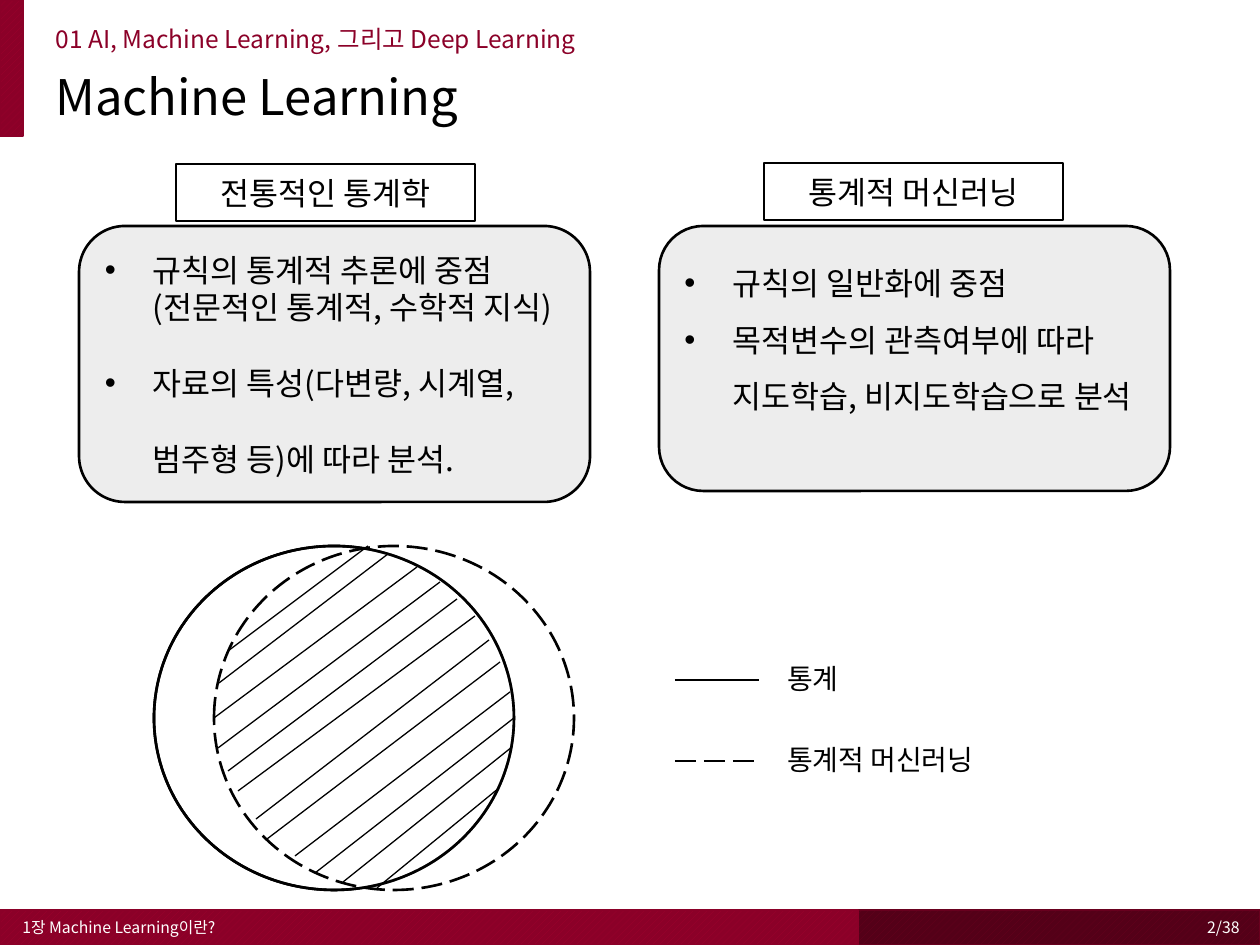
"""Build the slide comparing classical statistics with statistical machine learning."""
from dataclasses import dataclass

from lxml.etree import SubElement
from pptx import Presentation
from pptx.dml.color import RGBColor
from pptx.enum.dml import MSO_LINE, MSO_PATTERN
from pptx.enum.shapes import MSO_CONNECTOR, MSO_SHAPE
from pptx.enum.text import MSO_ANCHOR, MSO_AUTO_SIZE, PP_ALIGN
from pptx.oxml.ns import qn
from pptx.util import Pt


@dataclass(frozen=True)
class Theme:
    font: str = "Noto Sans CJK KR"
    ink: str = "000000"
    paper: str = "FFFFFF"
    panel: str = "EDEDED"
    crimson: str = "8B0028"
    crimson_light: str = "9E002D"
    maroon: str = "540018"
    maroon_light: str = "68001E"
    title: int = 28
    body: int = 18
    legend: int = 16
    section: int = 14
    footer: int = 9
    thin: float = 0.75
    frame: float = 1
    outline: float = 1.5


def emu(px):
    return round(px * 914400 / 126)


def color(code):
    return RGBColor.from_string(code)


class SlideBuilder:
    def __init__(self, slide, theme):
        self.slide = slide
        self.theme = theme

    def fill_text(self, shape, lines, size, ink, align=PP_ALIGN.LEFT,
                  anchor=MSO_ANCHOR.MIDDLE, spacing=None, before=None, bullet=None):
        frame = shape.text_frame
        frame.text = "\n".join(lines)
        frame.word_wrap = True
        frame.auto_size = MSO_AUTO_SIZE.NONE
        frame.vertical_anchor = anchor
        for index, paragraph in enumerate(frame.paragraphs):
            paragraph.alignment = align
            if spacing:
                paragraph.line_spacing = spacing[index]
            if before is not None:
                paragraph.space_before = Pt(before)
            properties = paragraph._p.get_or_add_pPr()
            indent = emu(48) if bullet else 0
            properties.set("marL", str(indent))
            properties.set("indent", str(-indent))
            if bullet:
                SubElement(properties, qn("a:buFont"), typeface="Arial")
                SubElement(properties, qn("a:buChar"), char=bullet)
            else:
                SubElement(properties, qn("a:buNone"))
            for run in paragraph.runs:
                run.font.size = Pt(size)
                run.font.name = self.theme.font
                run.font.color.rgb = color(ink)
                SubElement(run._r.get_or_add_rPr(), qn("a:ea"), typeface=self.theme.font)

    def heading(self, placeholder, box, text, size, ink):
        (placeholder.left, placeholder.top,
         placeholder.width, placeholder.height) = map(emu, box)
        self.fill_text(placeholder, [text], size, ink, anchor=MSO_ANCHOR.TOP,
                       spacing=[0.9], before=7.5)

    def shape(self, kind, box, fill, width, line=None, dash=None, opacity=None):
        shape = self.slide.shapes.add_shape(kind, *map(emu, box))
        shape.shadow.inherit = False
        if fill:
            shape.fill.solid()
            shape.fill.fore_color.rgb = color(fill)
        else:
            shape.fill.background()
        if opacity:
            fill_color = shape._element.spPr.find(qn("a:solidFill"))[0]
            SubElement(fill_color, qn("a:alpha"), val=str(opacity * 1000))
        shape.line.color.rgb = color(line or self.theme.ink)
        shape.line.width = Pt(width)
        if dash:
            shape.line.dash_style = dash
        return shape

    def bar(self, box, light, dark, line):
        bar = self.shape(MSO_SHAPE.RECTANGLE, box, dark, self.theme.frame, line)
        bar.fill.patterned()
        bar.fill.pattern = MSO_PATTERN.WIDE_UPWARD_DIAGONAL
        bar.fill.fore_color.rgb = color(light)
        bar.fill.back_color.rgb = color(dark)

    def label(self, box, text):
        label = self.shape(MSO_SHAPE.RECTANGLE, box, self.theme.paper, self.theme.frame)
        self.fill_text(label, [text], self.theme.body, self.theme.ink, PP_ALIGN.CENTER)

    def panel(self, box, points, spacing, bottom=6):
        panel = self.shape(MSO_SHAPE.ROUNDED_RECTANGLE, box, self.theme.panel,
                           self.theme.outline)
        self.fill_text(panel, points, self.theme.body, self.theme.ink,
                       spacing=spacing, bullet="•")
        panel.text_frame.margin_bottom = emu(bottom)

    def circle(self, left, fill=None, dash=None):
        self.shape(MSO_SHAPE.OVAL, (left, 546, 360, 344), fill, self.theme.outline,
                   dash=dash, opacity=50 if fill else None)

    def line(self, ends, width, dash=None):
        line = self.slide.shapes.add_connector(MSO_CONNECTOR.STRAIGHT, *map(emu, ends))
        line.line.color.rgb = color(self.theme.ink)
        line.line.width = Pt(width)
        if dash:
            line.line.dash_style = dash
        SubElement(line._element.spPr, qn("a:effectLst"))

    def text(self, box, text, size, ink, align=PP_ALIGN.LEFT, anchor=MSO_ANCHOR.MIDDLE):
        self.fill_text(self.slide.shapes.add_textbox(*map(emu, box)), [text],
                       size, ink, align, anchor)


def main():
    theme = Theme()
    deck = Presentation()
    deck.slide_width, deck.slide_height = emu(1260), emu(945)
    slide = deck.slides.add_slide(deck.slide_layouts[1])
    builder = SlideBuilder(slide, theme)

    builder.bar((842, 910, 418, 35), theme.maroon_light, theme.maroon, theme.maroon_light)
    for box in ((0, 910, 858, 35), (0, 0, 23, 136)):
        builder.bar(box, theme.crimson_light, theme.crimson, theme.crimson)

    builder.heading(slide.shapes.title, (43, 67, 1163, 71), "Machine Learning",
                    theme.title, theme.ink)
    builder.heading(slide.placeholders[1], (43, 21, 1163, 33),
                    "01 AI, Machine Learning, 그리고 Deep Learning",
                    theme.section, theme.crimson)
    builder.text((10, 910, 426, 35), "1장 Machine Learning이란?", theme.footer, theme.paper)
    builder.text((968, 910, 284, 35), "2/38", theme.footer, theme.paper, PP_ALIGN.RIGHT)

    builder.panel((79, 226, 511, 276),
                  ["규칙의 통계적 추론에 중점(전문적인 통계적, 수학적 지식)",
                   "자료의 특성(다변량, 시계열, 범주형 등)에 따라 분석."], [1.0, 2.0])
    builder.panel((659, 226, 511, 265),
                  ["규칙의 일반화에 중점",
                   "목적변수의 관측여부에 따라 지도학습, 비지도학습으로 분석"],
                  [1.5, 1.5], bottom=63)
    builder.label((176, 164, 299, 57), "전통적인 통계학")
    builder.label((764, 163, 299, 57), "통계적 머신러닝")

    builder.circle(154, theme.paper)
    builder.circle(214, theme.paper, MSO_LINE.LONG_DASH)
    builder.circle(154)
    overlap_hatching = (
        (228, 651, 368, 546), (219, 683, 388, 554), (214, 718, 417, 567),
        (218, 748, 440, 582), (228, 771, 457, 599), (238, 791, 475, 616),
        (256, 819, 489, 640), (267, 839, 500, 662), (295, 856, 510, 692),
        (315, 873, 514, 718), (343, 882, 512, 747), (377, 888, 499, 788),
    )
    for ends in overlap_hatching:
        builder.line(ends, theme.thin)

    legend = (("통계", 680, 127, None), ("통계적 머신러닝", 761, 239, MSO_LINE.LONG_DASH))
    for name, y, width, dash in legend:
        builder.line((675, y, 759, y), theme.outline, dash)
        builder.text((775, y - 25, width, 47), name, theme.legend, theme.ink,
                     anchor=MSO_ANCHOR.TOP)

    deck.save("out.pptx")


if __name__ == "__main__":
    main()
